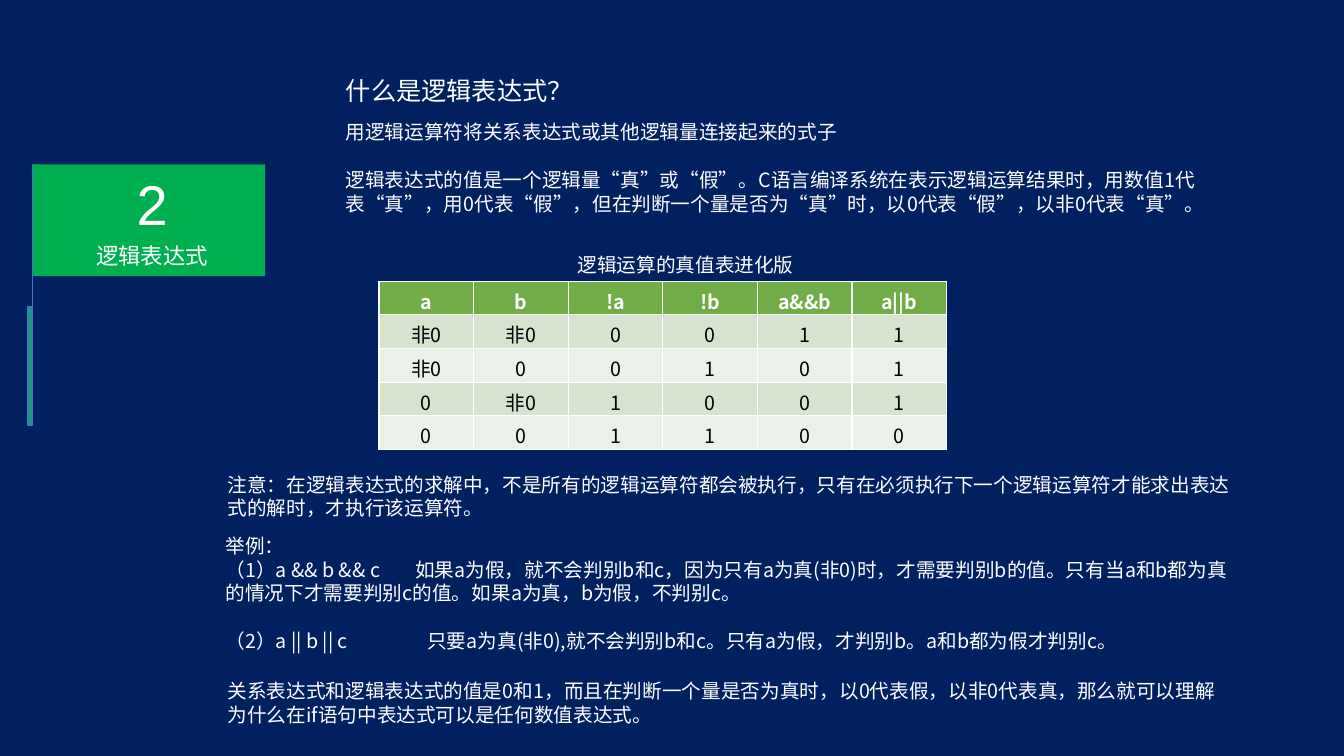
from lxml import etree
from pptx import Presentation
from pptx.dml.color import RGBColor
from pptx.enum.shapes import MSO_CONNECTOR as Conn, MSO_SHAPE as Shape
from pptx.enum.text import MSO_ANCHOR as Anchor, PP_ALIGN as Align
from pptx.oxml.ns import qn
from pptx.util import Inches, Pt

CJK, LATIN = "Noto Sans CJK SC", "Arial"
NAVY, GREEN, BLUE, WHITE, BLACK = "002060", "00B050", "4472C4", "FFFFFF", "000000"
HEAD, BANDS = "70AD47", ("D5E3CF", "EBF1E9")

TITLE = "什么是逻辑表达式？"
# left, top, width, height, wrap, text
NOTES = [
    (3.33, 1.14, 5.31, 0.34, False, "用逻辑运算符将关系表达式或其他逻辑量连接起来的式子"),
    (3.33, 1.62, 8.91, 0.57, True,
     "逻辑表达式的值是一个逻辑量“真”或“假”。C语言编译系统在表示逻辑运算结果时，用数值1代表“真”，"
     "用0代表“假”，但在判断一个量是否为“真”时，以0代表“假”，以非0代表“真”。"),
    (5.63, 2.46, 2.36, 0.34, False, "逻辑运算的真值表进化版"),
    (2.16, 4.64, 10.2, 0.57, True,
     "注意：在逻辑表达式的求解中，不是所有的逻辑运算符都会被执行，"
     "只有在必须执行下一个逻辑运算符才能求出表达式的解时，才执行该运算符。"),
    (2.16, 6.69, 10.09, 0.57, True,
     "关系表达式和逻辑表达式的值是0和1，而且在判断一个量是否为真时，以0代表假，以非0代表真，"
     "那么就可以理解为什么在if语句中表达式可以是任何数值表达式。"),
]
# space before in points, tab stop in inches, text
CASES = [
    (0, None, "举例："),
    (0, 1.88, "（1）a && b && c\t如果a为假，就不会判别b和c，因为只有a为真(非0)时，才需要判别b的值。"
              "只有当a和b都为真的情况下才需要判别c的值。如果a为真，b为假，不判别c。"),
    (17, 2, "（2）a || b || c\t只要a为真(非0),就不会判别b和c。只有a为假，才判别b。a和b都为假才判别c。"),
]
TRUTH = [
    ("a", "b", "!a", "!b", "a&&b", "a||b"),
    ("非0", "非0", "0", "0", "1", "1"),
    ("非0", "0", "0", "1", "0", "1"),
    ("0", "非0", "1", "0", "0", "1"),
    ("0", "0", "1", "1", "0", "0"),
]
# left, top, width, height, size, text
BADGE = [(0.36, 2.28, 2.3, 0.43, 16, "逻辑表达式"), (0.92, 1.53, 1.18, 0.77, 40, "2")]


def color(code):
    return RGBColor.from_string(code)


def paint(fill, code):
    fill.solid()
    fill.fore_color.rgb = color(code)


def write(para, text, size=14, font=CJK, code=WHITE, bold=False):
    run = para.add_run()
    run.text = text
    face = run.font
    face.size, face.name, face.bold = Pt(size), font, bold
    face.color.rgb = color(code)
    east = etree.SubElement(run._r.get_or_add_rPr(), qn("a:ea"))
    east.set("typeface", CJK)


def add_box(left, top, width, height, wrap=True):
    box = slide.shapes.add_textbox(*map(Inches, (left, top, width, height)))
    box.text_frame.word_wrap = wrap
    return box.text_frame


def add_rect(left, top, width, height):
    rect = slide.shapes.add_shape(Shape.RECTANGLE, *map(Inches, (left, top, width, height)))
    rect.shadow.inherit = False
    paint(rect.fill, GREEN)
    return rect


def set_tab(para, stop):
    tabs = etree.SubElement(para._p.get_or_add_pPr(), qn("a:tabLst"))
    tab = etree.SubElement(tabs, qn("a:tab"))
    tab.set("pos", str(Inches(stop)))
    tab.set("algn", "l")


deck = Presentation()
deck.slide_width, deck.slide_height = Inches(13.33), Inches(7.5)
slide = deck.slides.add_slide(deck.slide_layouts[5])
paint(slide.background.fill, NAVY)

# Title
title = slide.shapes.title
title.left, title.top, title.width, title.height = map(Inches, (3.33, 0.7, 2.47, 0.4))
title.text_frame.word_wrap = False
title.text_frame.vertical_anchor = Anchor.TOP
para = title.text_frame.paragraphs[0]
para.alignment, para.line_spacing, para.space_before = Align.LEFT, 1.0, Pt(0)
write(para, TITLE, 18)

# Side rail and numbered badge
rail = slide.shapes.add_connector(Conn.STRAIGHT, *map(Inches, (0.32, 4.22, 0.32, 1.63)))
rail.line.color.rgb, rail.line.width = color(BLUE), Pt(0.5)
etree.SubElement(rail._element.spPr, qn("a:effectLst"))
bar = add_rect(0.28, 3.04, 0.04, 1.18)
bar.line.color.rgb, bar.line.width = color(BLUE), Pt(1)
add_rect(0.33, 1.63, 2.3, 1.11).line.fill.background()
for *place, size, text in BADGE:
    frame = add_box(*place)
    frame.vertical_anchor = Anchor.MIDDLE
    frame.margin_left = frame.margin_right = Inches(0.14)
    frame.margin_top = frame.margin_bottom = Inches(0.07)
    para = frame.paragraphs[0]
    para.alignment, para.line_spacing = Align.CENTER, 1.3
    write(para, text, size, LATIN)

# Notes and examples
for *place, text in NOTES:
    write(add_box(*place).paragraphs[0], text)
frame = add_box(2.14, 5.25, 10.21, 1.28)
for i, (gap, stop, text) in enumerate(CASES):
    para = frame.add_paragraph() if i else frame.paragraphs[0]
    para.space_before = Pt(gap)
    if stop:
        set_tab(para, stop)
    write(para, text)

# Truth table
table = slide.shapes.add_table(len(TRUTH), len(TRUTH[0]),
                               *map(Inches, (3.76, 2.79, 5.63, 1.67))).table
for r, row in enumerate(TRUTH):
    for c, text in enumerate(row):
        cell = table.cell(r, c)
        paint(cell.fill, BANDS[(r - 1) % 2] if r else HEAD)
        para = cell.text_frame.paragraphs[0]
        para.alignment = Align.CENTER
        write(para, text, code=BLACK if r else WHITE, bold=r == 0)

deck.save("out.pptx")
